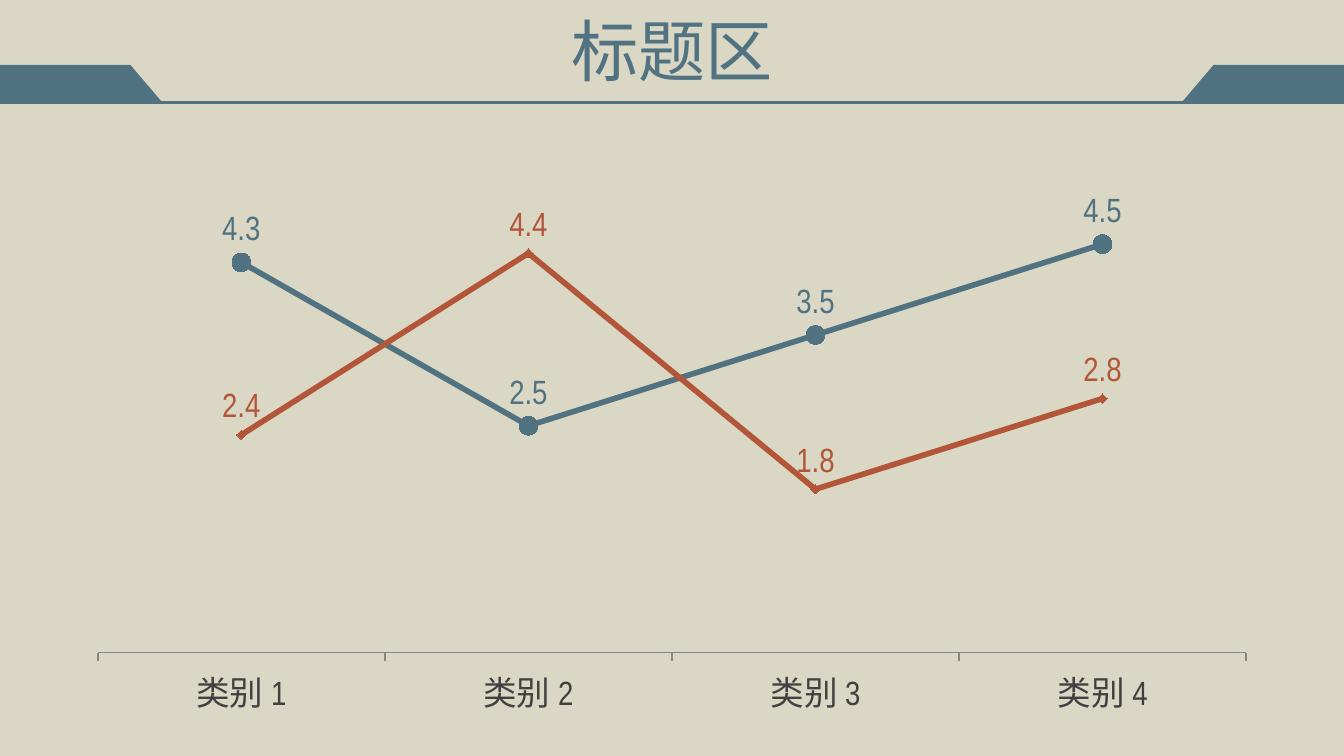
from dataclasses import dataclass

from lxml.etree import SubElement
from pptx import Presentation
from pptx.chart.data import CategoryChartData
from pptx.dml.color import RGBColor
from pptx.enum.chart import (XL_CHART_TYPE, XL_LABEL_POSITION, XL_MARKER_STYLE,
                             XL_TICK_LABEL_POSITION, XL_TICK_MARK)
from pptx.enum.shapes import MSO_CONNECTOR
from pptx.enum.text import MSO_ANCHOR, PP_ALIGN
from pptx.oxml.ns import qn
from pptx.util import Inches, Pt

COLUMNS, ROWS = 100, 56.25


@dataclass(frozen=True)
class Theme:
    paper: RGBColor = RGBColor.from_string("DAD7C5")
    slate: RGBColor = RGBColor.from_string("507281")
    rust: RGBColor = RGBColor.from_string("B25538")
    ink: RGBColor = RGBColor.from_string("404040")
    axis: RGBColor = RGBColor.from_string("868686")
    typeface: str = "Arial Narrow"
    title_size: int = 36
    chart_size: int = 18


@dataclass(frozen=True)
class Trend:
    name: str
    values: tuple
    color: RGBColor
    marker: XL_MARKER_STYLE
    marker_size: int


class SlideBuilder:
    """Draws on one slide; lengths are columns and rows of a square grid."""

    def __init__(self, presentation, theme):
        self.theme = theme
        self.column = presentation.slide_width / COLUMNS
        self.row = presentation.slide_height / ROWS
        self.slide = presentation.slides.add_slide(presentation.slide_layouts[6])
        background = self.slide.background.fill
        background.solid()
        background.fore_color.rgb = theme.paper

    def place(self, column, row):
        return round(column * self.column), round(row * self.row)

    def style_font(self, font, size, color):
        font.name = self.theme.typeface
        font.size = Pt(size)
        font.color.rgb = color

    def rule(self, start, end, width):
        line = self.slide.shapes.add_connector(
            MSO_CONNECTOR.STRAIGHT, *self.place(*start), *self.place(*end))
        line.line.color.rgb = self.theme.slate
        line.line.width = Pt(width)
        SubElement(line._element.spPr, qn("a:effectLst"))

    def polygon(self, points):
        first, *others = [self.place(*point) for point in points]
        builder = self.slide.shapes.build_freeform(*first)
        builder.add_line_segments(others, close=True)
        shape = builder.convert_to_shape()
        shape.shadow.inherit = False
        shape.fill.solid()
        shape.fill.fore_color.rgb = self.theme.slate
        shape.line.fill.background()

    def title(self, wording, corner, size):
        box = self.slide.shapes.add_textbox(*self.place(*corner), *self.place(*size))
        frame = box.text_frame
        frame.word_wrap = True
        frame.vertical_anchor = MSO_ANCHOR.MIDDLE
        paragraph = frame.paragraphs[0]
        paragraph.alignment = PP_ALIGN.CENTER
        run = paragraph.add_run()
        run.text = wording
        self.style_font(run.font, self.theme.title_size, self.theme.slate)

    def line_chart(self, categories, trends, corner, size):
        data = CategoryChartData()
        data.categories = categories
        for trend in trends:
            data.add_series(trend.name, trend.values)
        chart = self.slide.shapes.add_chart(
            XL_CHART_TYPE.LINE_MARKERS, *self.place(*corner), *self.place(*size), data).chart
        chart.has_legend = False
        chart.has_title = False
        self.style_font(chart.font, self.theme.chart_size, self.theme.ink)
        self.style_axes(chart)
        plot = chart.plots[0]
        plot.vary_by_categories = False
        for series, trend in zip(plot.series, trends):
            self.style_series(series, trend)

    def style_axes(self, chart):
        values = chart.value_axis
        values.minimum_scale, values.maximum_scale = 0, 5
        values.has_major_gridlines = False
        values.visible = False
        categories = chart.category_axis
        categories.major_tick_mark = XL_TICK_MARK.OUTSIDE
        categories.tick_label_position = XL_TICK_LABEL_POSITION.LOW
        categories.format.line.color.rgb = self.theme.axis
        categories.format.line.width = Pt(0.75)
        self.style_font(categories.tick_labels.font, self.theme.chart_size, self.theme.ink)

    def style_series(self, series, trend):
        series.smooth = False
        series.format.line.color.rgb = trend.color
        series.format.line.width = Pt(3)
        marker = series.marker
        marker.style, marker.size = trend.marker, trend.marker_size
        marker.format.fill.solid()
        marker.format.fill.fore_color.rgb = trend.color
        marker.format.line.color.rgb = trend.color
        labels = series.data_labels
        labels.show_value = True
        labels.position = XL_LABEL_POSITION.ABOVE
        self.style_font(labels.font, self.theme.chart_size, trend.color)


def main():
    presentation = Presentation()
    presentation.slide_width = Inches(10)
    presentation.slide_height = presentation.slide_width * 9 // 16
    theme = Theme()
    builder = SlideBuilder(presentation, theme)

    band_top, band_bottom = 4.83, 7.65
    builder.rule((0, band_bottom), (COLUMNS, band_bottom), 1.5)
    left_tab = [(0, band_top), (9.7, band_top), (12.1, band_bottom), (0, band_bottom)]
    right_tab = [(COLUMNS - column, row) for column, row in left_tab]
    for tab in (left_tab, right_tab):
        builder.polygon(tab)

    builder.title("标题区", corner=(5, -1), size=(90, 9.4))
    builder.line_chart(
        [f"类别 {number}" for number in range(1, 5)],
        [Trend("Series 1", (4.3, 2.5, 3.5, 4.5), theme.slate, XL_MARKER_STYLE.CIRCLE, 10),
         Trend("Series 2", (2.4, 4.4, 1.8, 2.8), theme.rust, XL_MARKER_STYLE.DIAMOND, 5)],
        corner=(5.5, 14), size=(89, 40))
    presentation.save("out.pptx")


if __name__ == "__main__":
    main()
